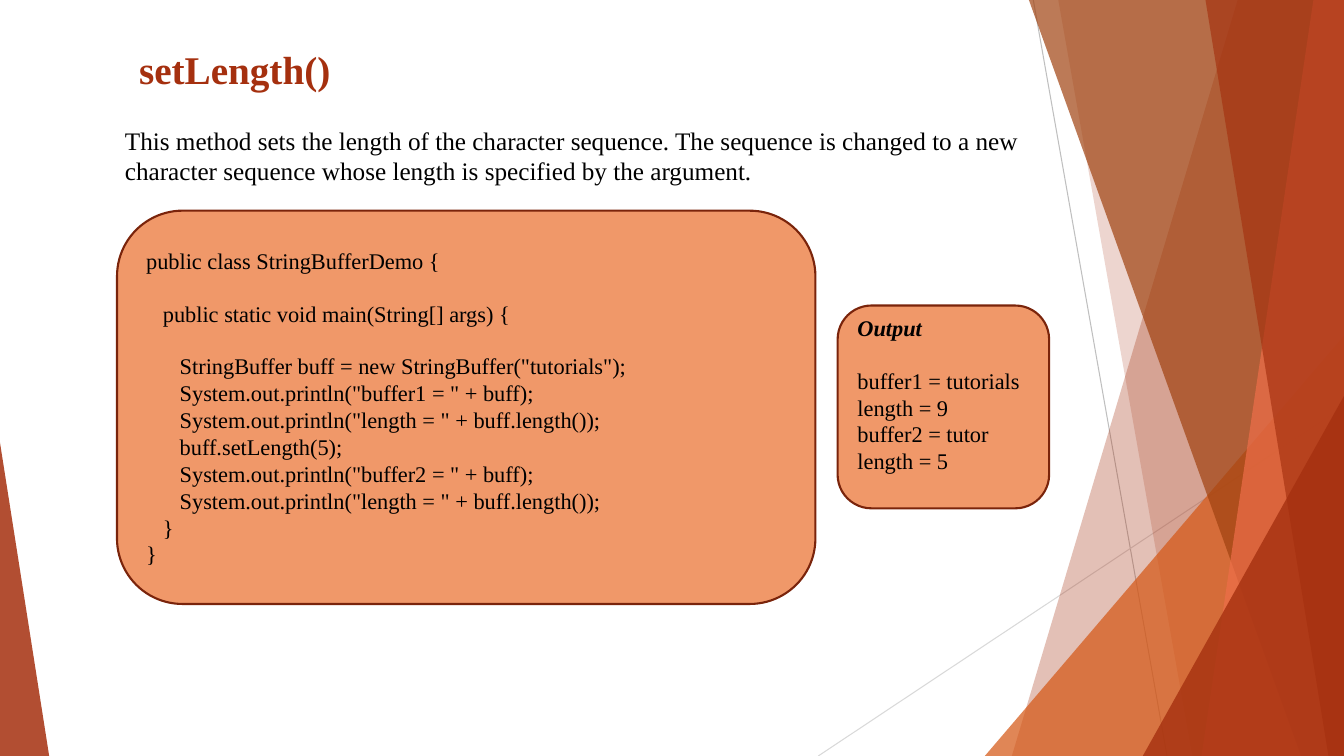
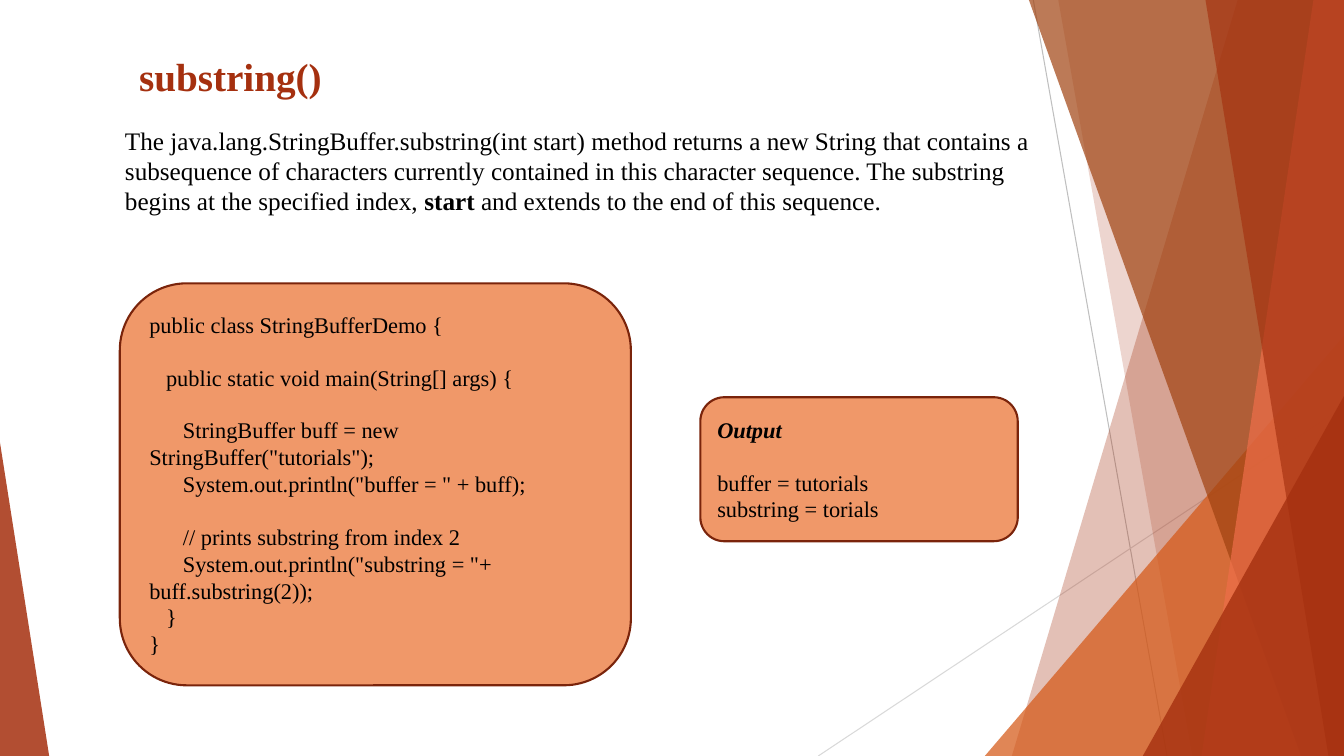
from dataclasses import dataclass
from itertools import count

from pptx import Presentation
from pptx import util as u
from pptx.dml import color
from pptx.enum import shapes, text
from pptx.oxml import ns, xmlchemy


@dataclass(frozen=True)
class Theme:
    """Colours, font, type sizes and line widths shared by the slides."""
    font: str = "Times New Roman"
    ink: str = "000000"
    rust: str = "A5300F"
    orange: str = "D55816"
    brown: str = "A04210"
    coral: str = "EE6E4A"
    panel: str = "F09869"
    border: str = "7A240B"
    steep_ray: str = "BFBFBF"
    flat_ray: str = "D9D9D9"
    title: int = 28
    description: int = 18
    code: int = 16
    code_line: float = 18.4
    code_space: int = 4
    ray_width: float = 0.75
    border_width: float = 1.5


@dataclass(frozen=True)
class Box:
    """A region in centimetres."""
    left: float
    top: float
    width: float
    height: float

    @property
    def right(self):
        """Right edge."""
        return self.left + self.width

    @property
    def bottom(self):
        """Bottom edge."""
        return self.top + self.height

    def lengths(self):
        """Left, top, width and height as lengths."""
        return [u.Cm(side) for side in (self.left, self.top, self.width, self.height)]


THEME = Theme()
PAGE = Box(0, 0, 33.87, 19.05)

SET_LENGTH_CODE = """public class StringBufferDemo {

   public static void main(String[] args) {

      StringBuffer buff = new StringBuffer("tutorials");
      System.out.println("buffer1 = " + buff);
      System.out.println("length = " + buff.length());
      buff.setLength(5);
      System.out.println("buffer2 = " + buff);
      System.out.println("length = " + buff.length());
   }
}"""

SUBSTRING_CODE = """public class StringBufferDemo {

   public static void main(String[] args) {

      StringBuffer buff = new StringBuffer("tutorials");
      System.out.println("buffer = " + buff);

      // prints substring from index 2
      System.out.println("substring = "+ buff.substring(2));
   }
}"""

SET_LENGTH_OUTPUT = """Output

buffer1 = tutorials
length = 9
buffer2 = tutor
length = 5"""

SUBSTRING_OUTPUT = """Output

buffer = tutorials
substring = torials"""


def rgb(code):
    """Turn a hex code into a colour."""
    return color.RGBColor.from_string(code)


def write(paragraph, words, size, ink=THEME.ink, bold=False, italic=False):
    """Append formatted words to a left-aligned paragraph."""
    paragraph.alignment = text.PP_ALIGN.LEFT
    run = paragraph.add_run()
    run.text = words
    run.font.name = THEME.font
    run.font.size = u.Pt(size)
    run.font.color.rgb = rgb(ink)
    run.font.bold = bold
    run.font.italic = italic


def tint(facet, fill, opacity):
    """Give a facet a translucent fill and no outline."""
    facet.shadow.inherit = False
    facet.fill.solid()
    facet.fill.fore_color.rgb = rgb(fill)
    facet.line.fill.background()
    shade = facet.element.spPr.find(ns.qn("a:solidFill"))[0]
    alpha = xmlchemy.OxmlElement("a:alpha")
    alpha.set("val", str(opacity * 1000))
    shade.append(alpha)


def add_ray(group, start, end, ink):
    """Draw a thin straight ray."""
    ray = group.shapes.add_connector(
        shapes.MSO_CONNECTOR.STRAIGHT, *[u.Cm(side) for side in (*start, *end)])
    ray.line.color.rgb = rgb(ink)
    ray.line.width = u.Pt(THEME.ray_width)
    ray.element.spPr.append(xmlchemy.OxmlElement("a:effectLst"))


def add_blade(group, box, top_x, bottom_x, fill, opacity):
    """Fill the area between a slanted edge and the right side of the box."""
    corners = [(box.right, box.top), (box.right, box.bottom), (bottom_x, box.bottom)]
    outline = group.shapes.build_freeform(u.Cm(top_x), u.Cm(box.top))
    outline.add_line_segments([(u.Cm(x), u.Cm(y)) for x, y in corners], close=True)
    tint(outline.convert_to_shape(), fill, opacity)


def add_wedge(group, box, apex, fill, opacity):
    """Fill a triangle whose apex lies at a share of the box width."""
    wedge = group.shapes.add_shape(
        shapes.MSO_SHAPE.ISOSCELES_TRIANGLE, *box.lengths())
    wedge.adjustments[0] = apex
    tint(wedge, fill, opacity)


def add_facets(slide, box):
    """Draw the faceted border and move it to the layout of the slide."""
    facets = slide.shapes.add_group_shape()
    add_ray(facets, (26.04, box.top), (29.41, box.bottom), THEME.steep_ray)
    add_ray(facets, (box.right, 10.24), (20.62, box.bottom), THEME.flat_ray)
    add_blade(facets, box, 31.19, 25.5, THEME.rust, 30)
    add_blade(facets, box, 26.67, 30.05, THEME.rust, 20)
    add_wedge(facets, Box(24.82, 8.46, box.right - 24.82, box.bottom - 8.46),
              1, THEME.orange, 72)
    add_blade(facets, box, 25.93, 32.79, THEME.brown, 70)
    add_blade(facets, box, 33.1, 30.28, THEME.coral, 70)
    add_blade(facets, box, 30.38, 33.48, THEME.rust, 65)
    add_wedge(facets, Box(28.8, 9.98, box.right - 28.8, box.bottom - 9.98),
              1, THEME.rust, 80)
    add_wedge(facets, Box(box.left, 11.15, 1.24, box.bottom - 11.15),
              0, THEME.rust, 85)
    for number, label in zip(count(100), facets.element.xpath(".//p:cNvPr")):
        label.set("id", str(number))
    slide.slide_layout.shapes.element.insert(2, facets.element)


def add_title(slide, box, words):
    """Place the slide title in its placeholder."""
    title = slide.shapes.title
    title.left, title.top, title.width, title.height = box.lengths()
    frame = title.text_frame
    frame.auto_size = text.MSO_AUTO_SIZE.NONE
    frame.vertical_anchor = text.MSO_ANCHOR.TOP
    write(frame.paragraphs[0], words, THEME.title, ink=THEME.rust, bold=True)


def add_description(slide, box, words):
    """Place the description, with words between double asterisks in bold."""
    frame = slide.shapes.add_textbox(*box.lengths()).text_frame
    frame.word_wrap = True
    frame.margin_top = u.Cm(0.86)
    for position, part in enumerate(words.split("**")):
        write(frame.paragraphs[0], part, THEME.description, bold=position % 2 == 1)


def add_panel(slide, box, listing, headed=False, lift=0):
    """Place a listing in a rounded panel, its text raised by the lift."""
    panel = slide.shapes.add_shape(
        shapes.MSO_SHAPE.ROUNDED_RECTANGLE, *box.lengths())
    panel.shadow.inherit = False
    panel.fill.solid()
    panel.fill.fore_color.rgb = rgb(THEME.panel)
    panel.line.color.rgb = rgb(THEME.border)
    panel.line.width = u.Pt(THEME.border_width)
    frame = panel.text_frame
    frame.word_wrap = True
    frame.vertical_anchor = text.MSO_ANCHOR.MIDDLE
    frame.margin_bottom += u.Cm(2 * lift)
    gap = 0
    for position, line in enumerate(listing.splitlines()):
        if not line:
            gap += THEME.code_line
            continue
        statement = frame.add_paragraph() if position else frame.paragraphs[0]
        statement.space_before = u.Pt(gap)
        gap = 0
        words = line.lstrip()
        indent = u.Pt(THEME.code_space * (len(line) - len(words)))
        statement._p.get_or_add_pPr().set("indent", str(indent))
        heading = headed and position == 0
        write(statement, words, THEME.code, bold=heading, italic=heading)


def add_method_slide(deck, title, title_top, description, description_height,
                     code, code_box, output, output_box, output_lift=0):
    """Build a slide that explains one method with its code and output."""
    slide = deck.slides.add_slide(deck.slide_layouts[5])
    add_title(slide, Box(3.25, title_top, 18.85, 1.33), title)
    add_description(slide, Box(2.9, 2.29, 23.88, description_height), description)
    add_panel(slide, code_box, code)
    add_panel(slide, output_box, output, headed=True, lift=output_lift)
    return slide


def main():
    """Build and save the deck."""
    deck = Presentation()
    deck.slide_width, deck.slide_height = PAGE.lengths()[2:]
    set_length = add_method_slide(
        deck, "setLength()", 1.02,
        "This method sets the length of the character sequence. The sequence is "
        "changed to a new character sequence whose length is specified by the "
        "argument.", 2.57,
        SET_LENGTH_CODE, Box(2.95, 5.31, 17.6, 9.91),
        SET_LENGTH_OUTPUT, Box(21.11, 7.7, 5.33, 5.11), output_lift=0.32)
    add_facets(set_length, PAGE)
    add_method_slide(
        deck, "substring()", 1.19,
        "The java.lang.StringBuffer.substring(int start) method returns a new "
        "String that contains a subsequence of characters currently contained in "
        "this character sequence. The substring begins at the specified index, "
        "**start** and extends to the end of this sequence.", 3.33,
        SUBSTRING_CODE, Box(3.02, 7.14, 12.88, 10.13),
        SUBSTRING_OUTPUT, Box(17.65, 10.01, 8, 3.63))
    deck.save("out.pptx")


main()
